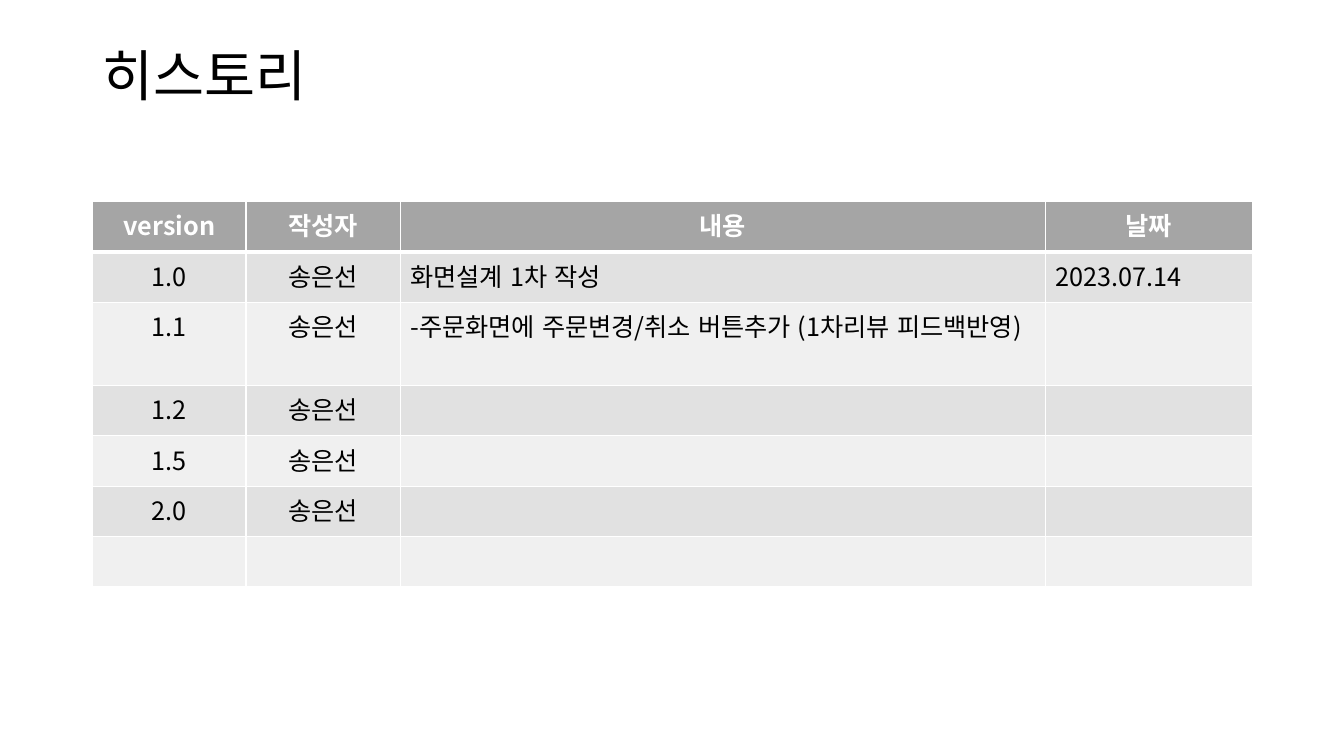
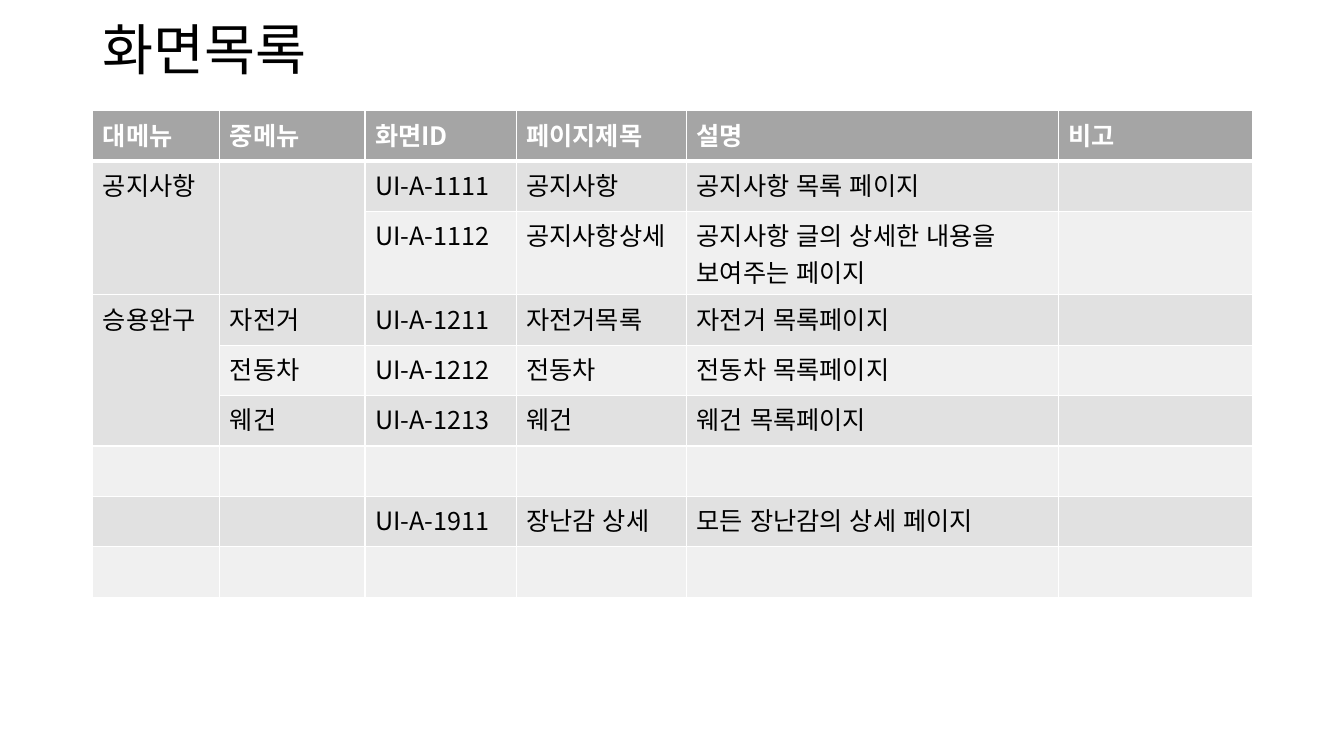
from dataclasses import dataclass

from lxml.etree import SubElement
from pptx import Presentation
from pptx.dml.color import RGBColor
from pptx.enum.lang import MSO_LANGUAGE_ID
from pptx.enum.text import MSO_ANCHOR, MSO_AUTO_SIZE, PP_ALIGN
from pptx.oxml.ns import qn
from pptx.util import Inches, Pt


@dataclass(frozen=True)
class Theme:
    """Colours, type sizes and measures shared by the slides."""
    font: str = "Noto Sans CJK KR"
    ink: str = "000000"
    white: str = "FFFFFF"
    header: str = "A5A5A5"
    bands: tuple = ("E1E1E1", "F0F0F0")
    title_size: float = 39.6
    body_size: float = 18
    thin: float = 1
    thick: float = 3
    left: float = 0.92
    width: float = 11.5
    row_height: float = 0.5


THEME = Theme()

HISTORY_COLS = (1.52, 1.53, 6.4, 2.05)
HISTORY_ROWS = (
    ("version", "작성자", "내용", "날짜"),
    ("1.0", "송은선", "화면설계 1차 작성", "2023.07.14"),
    ("1.1", "송은선", "-주문화면에 주문변경/취소 버튼추가 (1차리뷰 피드백반영)", ""),
    ("1.2", "송은선", "", ""),
    ("1.5", "송은선", "", ""),
    ("2.0", "송은선", "", ""),
    ("", "", "", ""),
)

SCREEN_COLS = (1.26, 1.44, 1.5, 1.69, 3.69, 1.92)
SCREEN_ROWS = (
    ("대메뉴", "중메뉴", "화면ID", "페이지제목", "설명", "비고"),
    ("공지사항", "", "UI-A-1111", "공지사항", "공지사항 목록 페이지", ""),
    ("", "", "UI-A-1112", "공지사항상세", "공지사항 글의 상세한 내용을 보여주는 페이지", ""),
    ("승용완구", "자전거", "UI-A-1211", "자전거목록", "자전거 목록페이지", ""),
    ("", "전동차", "UI-A-1212", "전동차", "전동차 목록페이지", ""),
    ("", "웨건", "UI-A-1213", "웨건", "웨건 목록페이지", ""),
    ("", "", "", "", "", ""),
    ("", "", "UI-A-1911", "장난감 상세", "모든 장난감의 상세 페이지", ""),
    ("", "", "", "", "", ""),
)
SCREEN_MERGES = (((1, 0), (2, 0)), ((1, 1), (2, 1)), ((3, 0), (5, 0)))


def style_text(p, size, color, bold=False):
    """Format every run of a paragraph, Korean glyphs included."""
    for r in p.runs:
        r.font.size = Pt(size)
        r.font.bold = bold
        r.font.color.rgb = RGBColor.from_string(color)
        r.font.name = THEME.font
        r.font.language_id = MSO_LANGUAGE_ID.KOREAN
        SubElement(r.font._element, qn("a:ea"), typeface=THEME.font)


def set_borders(cell, top, bottom):
    """Draw white cell borders with the given top and bottom widths."""
    tcPr = cell._tc.get_or_add_tcPr()
    widths = {"lnL": THEME.thin, "lnR": THEME.thin, "lnT": top, "lnB": bottom}
    for side, width in widths.items():
        ln = SubElement(tcPr, qn(f"a:{side}"), w=str(Pt(width)))
        fill = SubElement(ln, qn("a:solidFill"))
        SubElement(fill, qn("a:srgbClr"), val=THEME.white)


def add_title(s, text, top, height):
    """Place and format the title placeholder."""
    sp = s.shapes.title
    sp.left, sp.top = Inches(THEME.left), Inches(top)
    sp.width, sp.height = Inches(THEME.width), Inches(height)
    tf = sp.text_frame
    tf.text = text
    tf.word_wrap = True
    tf.auto_size = MSO_AUTO_SIZE.NONE
    tf.vertical_anchor = MSO_ANCHOR.MIDDLE
    p = tf.paragraphs[0]
    p.alignment = PP_ALIGN.LEFT
    p.line_spacing = 0.9
    style_text(p, THEME.title_size, THEME.ink)


def fill_cell(cell, text, row, centred):
    """Write one cell in the style of its row."""
    is_header = row == 0
    set_borders(cell, THEME.thick if row == 1 else THEME.thin,
                THEME.thick if is_header else THEME.thin)
    color = THEME.header if is_header else THEME.bands[(row - 1) % 2]
    cell.fill.solid()
    cell.fill.fore_color.rgb = RGBColor.from_string(color)
    cell.text_frame.text = text
    p = cell.text_frame.paragraphs[0]
    p.alignment = PP_ALIGN.CENTER if centred else PP_ALIGN.LEFT
    style_text(p, THEME.body_size, THEME.white if is_header else THEME.ink, is_header)


def add_grid(s, top, cols, rows, merges=(), centred_cols=(), centre_header=False):
    """Add a banded table below the title."""
    frame = s.shapes.add_table(len(rows), len(cols), Inches(THEME.left), Inches(top),
                               Inches(THEME.width), Inches(THEME.row_height * len(rows)))
    table = frame.table
    for column, width in zip(table.columns, cols):
        column.width = Inches(width)
    for i, values in enumerate(rows):
        table.rows[i].height = Inches(THEME.row_height)
        for j, text in enumerate(values):
            centred = j in centred_cols or (centre_header and i == 0)
            fill_cell(table.cell(i, j), text, i, centred)
    for first, last in merges:
        table.cell(*first).merge(table.cell(*last))


def build_history(s):
    """Build the version history slide."""
    add_title(s, "히스토리", 0.4, 0.76)
    add_grid(s, 2, HISTORY_COLS, HISTORY_ROWS, centred_cols=(0, 1), centre_header=True)


def build_screen_list(s):
    """Build the screen list slide."""
    add_title(s, "화면목록", 0.16, 0.73)
    add_grid(s, 1.1, SCREEN_COLS, SCREEN_ROWS, merges=SCREEN_MERGES)


def main():
    """Create the deck and save it."""
    prs = Presentation()
    prs.slide_width, prs.slide_height = Inches(13.33), Inches(7.5)
    title_only = prs.slide_layouts[5]
    for build in (build_history, build_screen_list):
        build(prs.slides.add_slide(title_only))
    prs.save("out.pptx")


if __name__ == "__main__":
    main()
